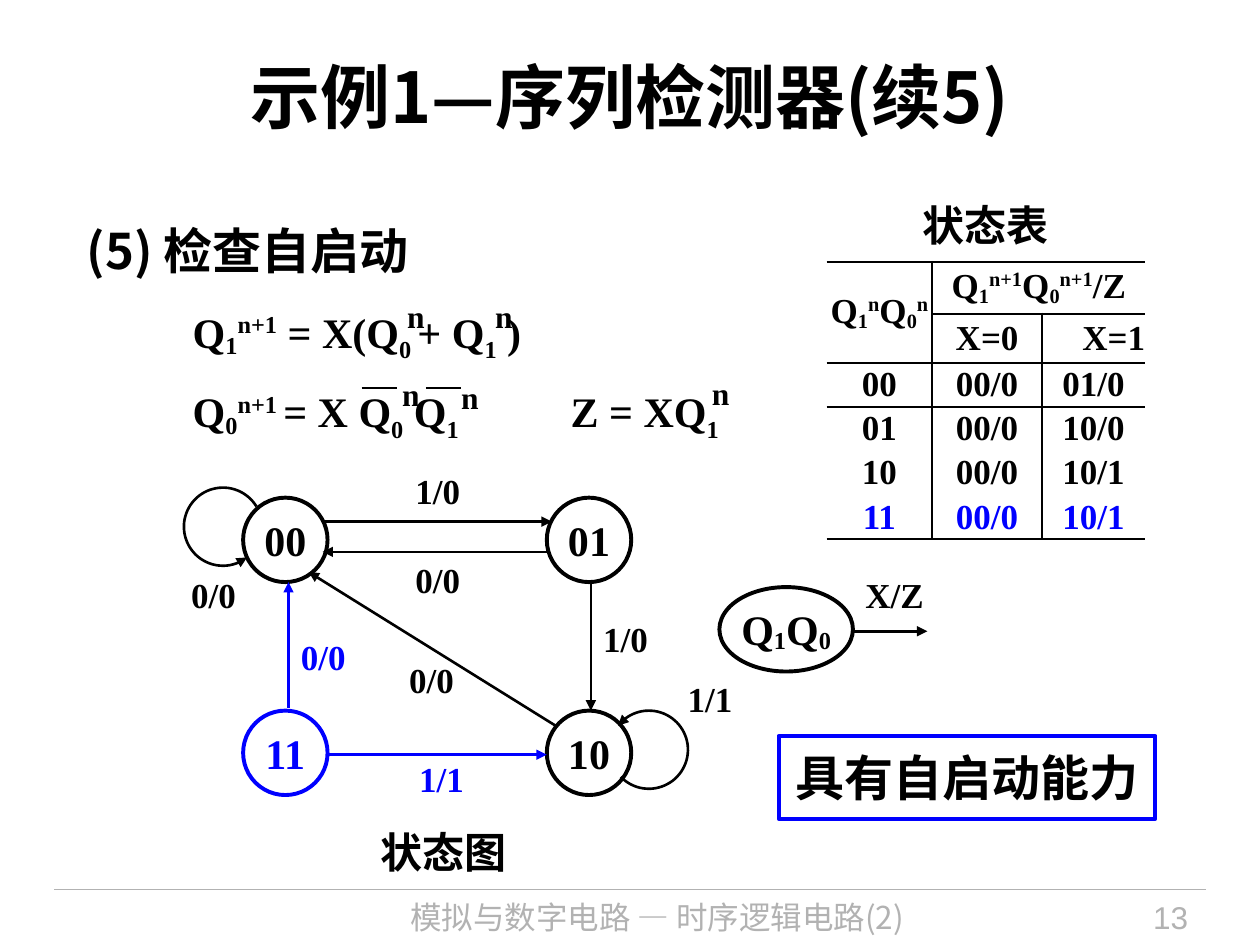
from math import cos, radians, sin

from lxml.etree import SubElement
from pptx import Presentation
from pptx.dml.color import RGBColor
from pptx.enum.shapes import MSO_CONNECTOR as Connector, MSO_SHAPE as Shape
from pptx.enum.text import MSO_ANCHOR as Anchor, PP_ALIGN as Align
from pptx.oxml import parse_xml
from pptx.oxml.ns import nsdecls, qn
from pptx.util import Inches, Pt

# The slide is a grid of 100 columns and 75 rows of square cells
COLS, ROWS = 100, 75
UNIT = Inches(10) // COLS
COLORS = {"ink": "000000", "added": "0000FF", "footer": "B2B2B2"}
CJK, SERIF = "Noto Sans CJK SC", "Times New Roman"
FORMATS = {
    "title": {"name": CJK, "size": Pt(40), "bold": True},
    "heading": {"name": CJK, "size": Pt(28), "bold": True},
    "caption": {"name": "Arial", "size": Pt(24), "bold": True},
    "formula": {"name": SERIF, "size": Pt(24), "bold": True},
    "label": {"name": SERIF, "size": Pt(20), "bold": True},
    "power": {"name": SERIF, "size": Pt(18), "bold": True},
    "footer": {"name": CJK, "size": Pt(18), "bold": False},
    "number": {"name": "Arial", "size": Pt(18), "bold": False},
}
SUB, LOW, SUP = -15, -25, 35  # baseline shifts in percent


def grid(*cells):
    return [round(cell * UNIT) for cell in cells]


def rgb(color):
    return RGBColor.from_string(COLORS[color])


def write(frame, runs, style, color="ink", align=Align.CENTER):
    """Fill a frame; runs is a string or a list of (text, baseline shift)."""
    paragraph = frame.paragraphs[0]
    paragraph.alignment = align
    for text, shift in [(runs, 0)] if isinstance(runs, str) else runs:
        run = paragraph.add_run()
        run.text = text
        for key, value in FORMATS[style].items():
            setattr(run.font, key, value)
        run.font.color.rgb = rgb(color)
        props = run._r.get_or_add_rPr()
        SubElement(props, qn("a:ea")).set("typeface", CJK)
        if shift:
            props.set("baseline", str(shift * 1000))


def clear_margins(frame):
    for side in ("left", "right", "top", "bottom"):
        setattr(frame, f"margin_{side}", 0)
    frame.vertical_anchor = Anchor.MIDDLE


def add_text(slide, box, runs, style, color="ink", align=Align.CENTER):
    frame = slide.shapes.add_textbox(*grid(*box)).text_frame
    frame.word_wrap = True
    clear_margins(frame)
    write(frame, runs, style, color, align)


def add_outlined(slide, kind, box, runs, style, line="ink", color="ink"):
    outline = slide.shapes.add_shape(kind, *grid(*box))
    outline.shadow.inherit = False
    outline.fill.background()
    outline.line.color.rgb = rgb(line)
    outline.line.width = Pt(2.25)
    outline.text_frame.word_wrap = False
    clear_margins(outline.text_frame)
    write(outline.text_frame, runs, style, color)


def draw_stroke(stroke, color, width, arrow):
    stroke.line.color.rgb = rgb(color)
    stroke.line.width = Pt(width)
    if arrow:
        SubElement(stroke.line._get_or_add_ln(), qn("a:tailEnd")).set("type", "triangle")


def add_line(slide, ends, color="ink", width=1.5, arrow=False):
    line = slide.shapes.add_connector(Connector.STRAIGHT, *grid(*ends))
    draw_stroke(line, color, width, arrow)
    SubElement(line._element.spPr, qn("a:effectLst"))


def add_loop(slide, center, radius, start, end):
    """Arrowed arc that runs from one angle to another, in degrees."""
    steps = 60
    angles = [radians(start + (end - start) * i / steps) for i in range(steps + 1)]
    points = [grid(center[0] + radius * cos(a), center[1] + radius * sin(a)) for a in angles]
    builder = slide.shapes.build_freeform(*points[0])
    builder.add_line_segments(points[1:], close=False)
    loop = builder.convert_to_shape()
    loop.shadow.inherit = False
    loop.fill.background()
    draw_stroke(loop, "ink", 1.5, True)


def set_borders(cell, row, col, last_row):
    edges = {
        "lnL": col == 1 or (col == 2 and row > 0),
        "lnR": col == 0 or (col == 1 and row > 0),
        "lnT": row in (0, 2) or (row == 1 and col > 0),
        "lnB": row in (1, last_row) or (row == 0 and col > 0),
    }
    shown = [edge for edge, visible in edges.items() if visible]
    for place, edge in enumerate(shown):
        cell._tc.get_or_add_tcPr().insert(place, parse_xml(
            f'<a:{edge} {nsdecls("a")} w="{Pt(1.5)}"><a:solidFill>'
            f'<a:srgbClr val="{COLORS["ink"]}"/></a:solidFill></a:{edge}>'))


def add_state_table(slide):
    contents = [
        [[("Q", 0), ("1", SUB), ("n", SUP), ("Q", 0), ("0", SUB), ("n", SUP)],
         [("Q", 0), ("1", SUB), ("n+1", SUP), ("Q", 0), ("0", SUB), ("n+1", SUP), ("/Z", 0)], ""],
        ["", "X=0", "X=1"],
        ["00", "00/0", "01/0"],
        ["01", "00/0", "10/0"],
        ["10", "00/0", "10/1"],
        ["11", "00/0", "10/1"],
    ]
    widths, heights = grid(8.4, 8.7, 8.2), grid(4.1, 3.9, *[3.5] * 4)
    last_row = len(contents) - 1
    table = slide.shapes.add_table(len(heights), len(widths), *grid(65.6, 20.8),
                                   sum(widths), sum(heights)).table
    table.first_row = table.horz_banding = False
    # Plain style without grid lines
    table._tbl.tblPr.find(qn("a:tableStyleId")).text = "{2D5ABB26-0587-4C30-8999-92F81FD0307C}"
    for column, width in zip(table.columns, widths):
        column.width = width
    for line, height in zip(table.rows, heights):
        line.height = height
    table.cell(0, 0).merge(table.cell(1, 0))
    table.cell(0, 1).merge(table.cell(0, 2))
    for row, texts in enumerate(contents):
        for col, runs in enumerate(texts):
            cell = table.cell(row, col)
            clear_margins(cell)
            cell.fill.background()
            set_borders(cell, row, col, last_row)
            if runs:
                color = "added" if row == last_row else "ink"
                align = Align.RIGHT if runs == "X=1" else Align.CENTER
                write(cell.text_frame, runs, "label", color, align)


def add_equations(slide):
    equations = [
        ((15.3, 23.8, 30, 5.6), [("Q", 0), ("1", SUB), ("n+1", SUP), (" = X(Q", 0), ("0 ", LOW),
                                 ("+ Q", 0), ("1", LOW), (" )", 0)]),
        ((15.3, 30.1, 28, 5.6), [("Q", 0), ("0", SUB), ("n+1 ", SUP), ("= X Q", 0), ("0", LOW),
                                 (" Q", 0), ("1", LOW)]),
        ((45.3, 30.1, 16, 5.6), [("Z = XQ", 0), ("1", LOW)]),
    ]
    for box, runs in equations:
        add_text(slide, box, runs, "formula", align=Align.LEFT)
    # Superscripts that stand above the subscripts
    for left, top in [(31.3, 23.1), (38.3, 23.1), (30.9, 29.3), (35.6, 29.5), (55.5, 29.2)]:
        add_text(slide, (left, top, 3.4, 4), "n", "power")
    # Negation bars
    for left in (28.7, 33.8):
        add_line(slide, (left, 30.8, left + 2.8, 30.8))


def add_state_diagram(slide):
    left, right, top, bottom, size = 19.3, 43.4, 39.5, 56.4, 6.7
    for name, x, y, color in [("00", left, top, "ink"), ("01", right, top, "ink"),
                              ("10", right, bottom, "ink"), ("11", left, bottom, "added")]:
        add_outlined(slide, Shape.OVAL, (x, y, size, size), name, "formula", color, color)
    # Transitions: ends of the arrow, label, place of the label
    for ends, label, place, color in [
        ((25.6, 41.4, 43.8, 41.4), "1/0", (32, 36.7), "ink"),
        ((43.4, 43.8, 25.6, 43.8), "0/0", (32, 43.8), "ink"),
        ((46.9, 46.2, 46.9, 56.4), "1/0", (46.9, 48.5), "ink"),
        ((44.1, 57.6, 24.5, 45.4), "0/0", (31.5, 51.7), "ink"),
        ((26, 59.9, 43.4, 59.9), "1/1", (32.3, 59.6), "added"),
        ((22.9, 56.2, 22.9, 46.2), "0/0", (22.9, 49.9), "added"),
    ]:
        add_line(slide, ends, color, arrow=True)
        add_text(slide, (*place, 5.5, 4.4), label, "label", color)
    # Transitions from a state to itself
    for center, start, end, label, place in [
        ((17.7, 41.8), -31, -308, "0/0", (14.2, 45)),
        ((51.5, 59.5), 136, -142, "1/1", (53.6, 53.2)),
    ]:
        add_loop(slide, center, 3.1, start, end)
        add_text(slide, (*place, 5.5, 4.4), label, "label")
    add_text(slide, (29.2, 65.1, 12, 5), "状态图", "caption")
    # Key to the diagram
    add_outlined(slide, Shape.OVAL, (57.1, 46.6, 10.6, 6.7),
                 [("Q", 0), ("1", -10), ("Q", 0), ("0", -10)], "formula")
    add_line(slide, (67.7, 50.1, 73.6, 50.1), arrow=True)
    add_text(slide, (67.7, 45, 6.6, 4.4), "X/Z", "label")


def add_footer(slide):
    add_line(slide, (4.3, 70.6, 95.7, 70.6), "footer", 0.75)
    add_text(slide, (24, 70.6, 56.3, 4.4), "模拟与数字电路 — 时序逻辑电路(2)", "footer", "footer")
    add_text(slide, (82, 70.6, 12.3, 4.4), "13", "number", "footer", Align.RIGHT)


def main():
    deck = Presentation()
    deck.slide_width, deck.slide_height = grid(COLS, ROWS)
    slide = deck.slides.add_slide(deck.slide_layouts[6])
    add_footer(slide)
    add_text(slide, (5, 1.7, 90, 11.7), "示例1—序列检测器(续5)", "title")
    add_text(slide, (6.9, 17, 51, 5.7), "(5) 检查自启动", "heading", align=Align.LEFT)
    add_equations(slide)
    add_text(slide, (72.2, 15.3, 12, 5), "状态表", "caption")
    add_state_table(slide)
    add_state_diagram(slide)
    # Conclusion
    add_outlined(slide, Shape.RECTANGLE, (61.8, 58.4, 29.9, 6.6), "具有自启动能力", "heading", "added")
    deck.save("out.pptx")


if __name__ == "__main__":
    main()
